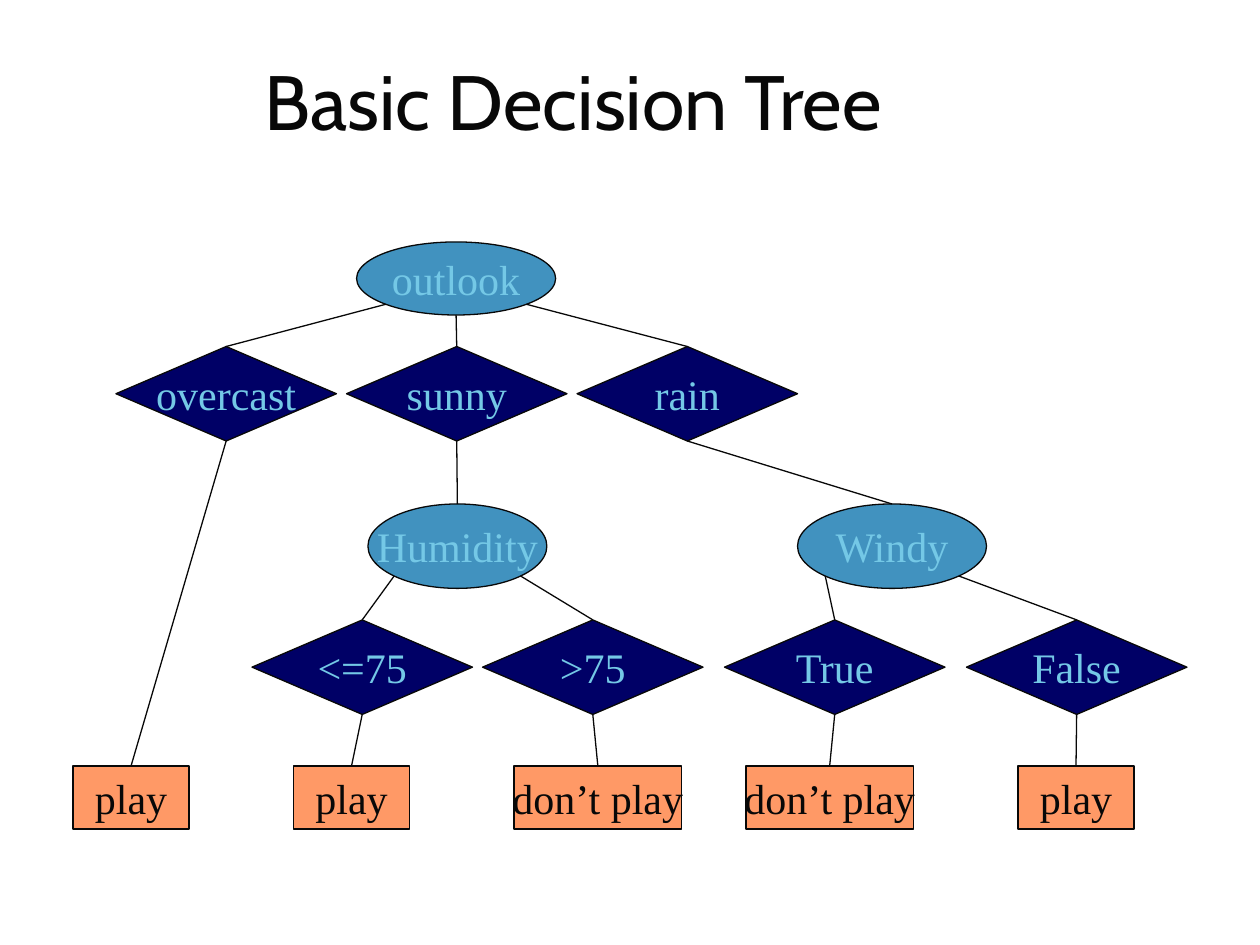
"""Build a slide with a basic decision tree about playing outside."""
import math

import lxml.etree
import pptx
import pptx.dml.color
import pptx.enum.shapes
import pptx.enum.text
import pptx.oxml.ns
import pptx.util

Inches = pptx.util.Inches
SHAPE = pptx.enum.shapes.MSO_SHAPE
COLORS = {"ink": "080808", "pale": "74C8E6", "blue": "4192BF", "navy": "000066", "orange": "FF9966"}
TITLE = "Basic Decision Tree"
STYLES = {
    "attribute": (SHAPE.OVAL, "blue", "pale"),
    "value": (SHAPE.DIAMOND, "navy", "pale"),
    "result": (SHAPE.RECTANGLE, "orange", "ink"),
}
LEVELS = [
    ("attribute", 1.92, 0.58, [("outlook", "outlook", 2.83, 1.58)]),
    ("value", 2.75, 0.75, [
        ("overcast", "overcast", 0.92, 1.75),
        ("sunny", "sunny", 2.75, 1.75),
        ("rain", "rain", 4.58, 1.75),
    ]),
    ("attribute", 4, 0.67, [("humidity", "Humidity", 2.92, 1.42), ("windy", "Windy", 6.33, 1.5)]),
    ("value", 4.92, 0.75, [
        ("low", "<=75", 2, 1.75),
        ("high", ">75", 3.83, 1.75),
        ("true", "True", 5.75, 1.75),
        ("false", "False", 7.67, 1.75),
    ]),
    ("result", 6.08, 0.5, [
        ("overcast play", "play", 0.58, 0.92),
        ("low play", "play", 2.33, 0.92),
        ("high stay", "don’t play", 4.08, 1.33),
        ("true stay", "don’t play", 5.92, 1.33),
        ("false play", "play", 8.08, 0.92),
    ]),
]
ATTRIBUTE_LINKS = [
    ("outlook", "overcast", -1), ("outlook", "sunny", 0), ("outlook", "rain", 1),
    ("humidity", "low", -1), ("humidity", "high", 1),
    ("windy", "true", -1), ("windy", "false", 1),
]
VALUE_LINKS = [
    ("overcast", "overcast play"), ("sunny", "humidity"), ("rain", "windy"),
    ("low", "low play"), ("high", "high stay"), ("true", "true stay"), ("false", "false play"),
]


def color(name):
    return pptx.dml.color.RGBColor.from_string(COLORS[name])


def write(box, text, font, size, ink, wrap):
    frame = box.text_frame
    frame.word_wrap = wrap
    frame.vertical_anchor = pptx.enum.text.MSO_ANCHOR.MIDDLE
    paragraph = frame.paragraphs[0]
    paragraph.text = text
    paragraph.font.name = font
    paragraph.font.size = pptx.util.Pt(size)
    paragraph.font.color.rgb = color(ink)
    return paragraph


def outline(line):
    line.color.rgb = color("ink")
    line.width = pptx.util.Pt(0.75)


def add_node(page, kind, text, left, top, width, height):
    preset, fill, ink = STYLES[kind]
    node = page.shapes.add_shape(preset, Inches(left), Inches(top), Inches(width), Inches(height))
    node.shadow.inherit = False
    node.fill.solid()
    node.fill.fore_color.rgb = color(fill)
    outline(node.line)
    paragraph = write(node, text, "Times New Roman", 24, ink, False)
    paragraph.alignment = pptx.enum.text.PP_ALIGN.CENTER
    return node


def add_link(page, start, child):
    link = page.shapes.add_connector(
        pptx.enum.shapes.MSO_CONNECTOR.STRAIGHT, *start, child.left + child.width // 2, child.top)
    link.end_connect(child, 0)
    outline(link.line)
    lxml.etree.SubElement(link._element.spPr, pptx.oxml.ns.qn("a:effectLst"))
    return link


def oval_point(oval, side):
    angle = math.radians(45 * side)
    x = oval.left + oval.width / 2 * (1 + math.sin(angle))
    y = oval.top + oval.height / 2 * (1 + math.cos(angle))
    return round(x), round(y)


def main():
    deck = pptx.Presentation()
    deck.slide_width, deck.slide_height = Inches(10), Inches(7.5)
    page = deck.slides.add_slide(deck.slide_layouts[6])

    title = page.shapes.add_textbox(Inches(2), Inches(0.21), Inches(7.74), Inches(1.17))
    write(title, TITLE, "Cabin", 44, "ink", True)

    nodes = {}
    for kind, top, height, members in LEVELS:
        for key, text, left, width in members:
            nodes[key] = add_node(page, kind, text, left, top, width, height)

    for parent, child, side in ATTRIBUTE_LINKS:
        add_link(page, oval_point(nodes[parent], side), nodes[child])
    for parent, child in VALUE_LINKS:
        link = add_link(page, oval_point(nodes[parent], 0), nodes[child])
        link.begin_connect(nodes[parent], 2)

    deck.save("out.pptx")


if __name__ == "__main__":
    main()
